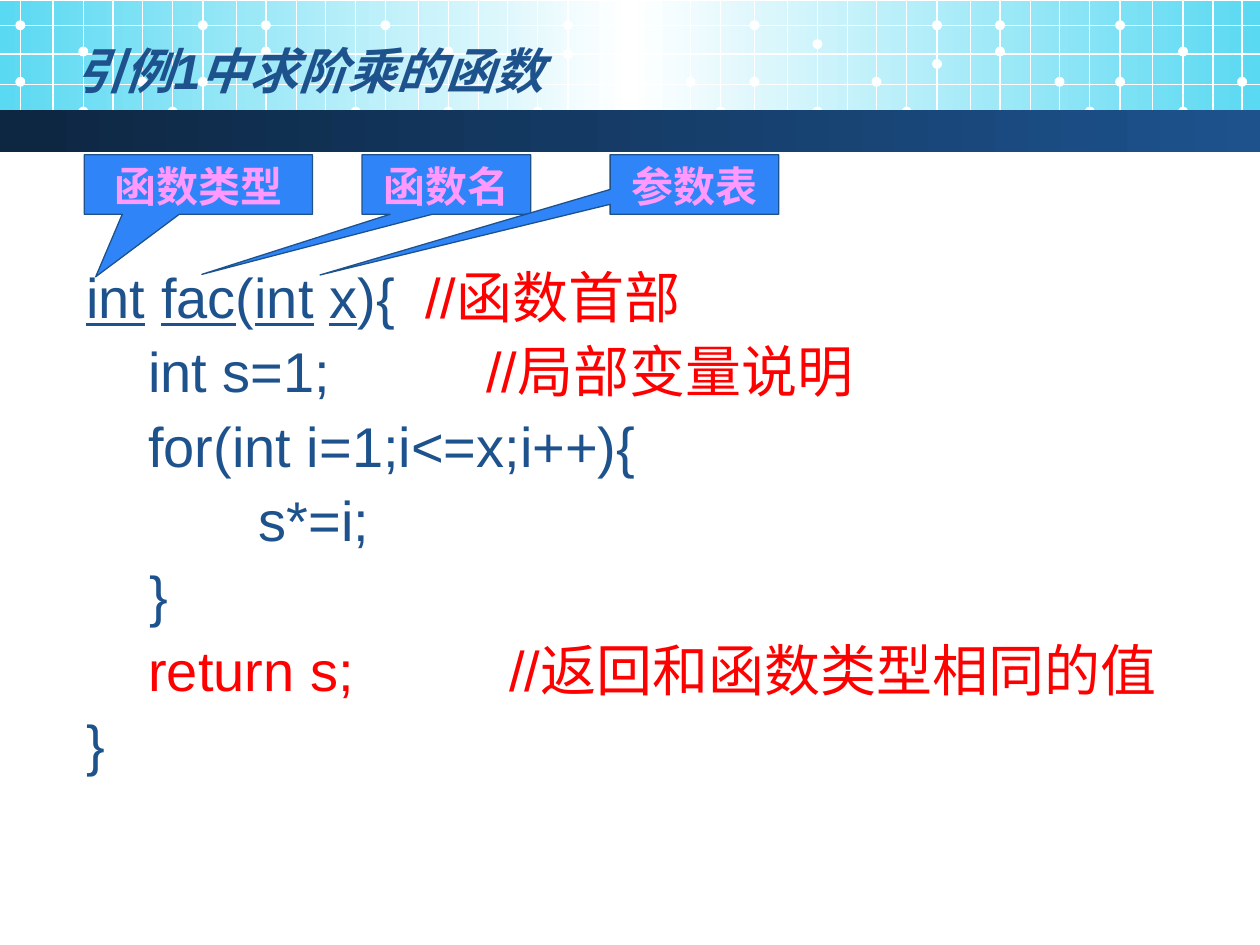
from copy import deepcopy

from lxml.etree import SubElement
from pptx import Presentation
from pptx.dml.color import RGBColor
from pptx.enum.shapes import MSO_CONNECTOR, MSO_SHAPE
from pptx.enum.text import MSO_ANCHOR, MSO_AUTO_SIZE, PP_ALIGN
from pptx.oxml.ns import qn
from pptx.util import Cm, Pt

NAVY, RED, WHITE, CYAN = "1D528D", "FF0000", "FFFFFF", "5AD9F2"

TILE_STARTS = [0.41, 7.77, 15.21, 22.58]
COLUMNS = [0, 0.66, 1.27, 1.87, 2.46, 3.07, 3.68, 4.36, 4.95, 5.56, 6.15, 6.76]
ROWS = [0.51, 1.09, 1.7, 2.26]
DOTS = {0: [0.41, 1.55], 2: [0.94, 2.15], 4: [1.55], 5: [2.15],
        6: [0.41, 1.55], 8: [0.41, 0.94], 10: [1.55], 11: [2.15]}
MOVED_DOTS = {(1, 6): [0.41, 0.99], (2, 6): [0.41, 1.19], (2, 2): [0.79, 2.15]}

INDENT_STOPS = [0.97, 3.48]
CODE = [
    ([("int", NAVY, True), (" ", NAVY, False), ("fac", NAVY, True), ("(", NAVY, False),
      ("int", NAVY, True), (" ", NAVY, False), ("x", NAVY, True), ("){", NAVY, False),
      ("\t//函数首部", RED, False)], 6.83),
    ([("    int s=1;", NAVY, False), ("\t//局部变量说明", RED, False)], 8.06),
    ([("    for(int i=1;i<=x;i++){", NAVY, False)], None),
    ([("\t\ts*=i;", NAVY, False)], None),
    ([("\t }", NAVY, False)], None),
    ([("    return s;\t//返回和函数类型相同的值", RED, False)], 8.53),
    ([("}", NAVY, False)], None),
]

CALLOUTS = [
    ("函数名", 7.3, 3.4, -1.45, 1.51),
    ("参数表", 12.3, 3.4, -2.22, 1.52),
    ("函数类型", 1.7, 4.6, -0.45, 1.55),
]


def rgb(color):
    return RGBColor.from_string(color)


def add_run(p, text, size=32, color=NAVY, bold=False, italic=False, underline=False):
    r = p.add_run()
    r.text = text
    f = r.font
    f.name, f.size = "Arial", Pt(size)
    f.bold, f.italic, f.underline = bold, italic, underline
    f.color.rgb = rgb(color)
    return r


class SlideBuilder:
    line_width = Pt(0.75)

    def __init__(self, slide):
        self.slide = slide
        self.shapes = slide.shapes

    def shape(self, kind, x, y, w, h, fill=None, line=None):
        sp = self.shapes.add_shape(kind, Cm(x), Cm(y), Cm(w), Cm(h))
        sp.shadow.inherit = False
        if fill:
            sp.fill.solid()
            sp.fill.fore_color.rgb = rgb(fill)
        if line:
            sp.line.color.rgb = rgb(line)
            sp.line.width = self.line_width
        else:
            sp.line.fill.background()
        return sp

    def gradient_bar(self, y, h, colors):
        sp = self.shape(MSO_SHAPE.RECTANGLE, 0, y, 25.4, h)
        sp.fill.gradient()
        sp.fill.gradient_angle = 0
        stops = sp.element.find(".//" + qn("a:gsLst"))
        while len(stops) < len(colors):
            stops.append(deepcopy(stops[-1]))
        for i, (stop, color) in enumerate(zip(sp.fill.gradient_stops, colors)):
            stop.position = i / (len(colors) - 1)
            stop.color.rgb = rgb(color)

    def line(self, x1, y1, x2, y2):
        c = self.shapes.add_connector(MSO_CONNECTOR.STRAIGHT, Cm(x1), Cm(y1), Cm(x2), Cm(y2))
        c.line.color.rgb = rgb(WHITE)
        c.line.width = self.line_width
        SubElement(c.element.spPr, qn("a:effectLst"))

    def lattice(self):
        for tile, start in enumerate(TILE_STARTS):
            for col, offset in enumerate(COLUMNS):
                x = start + offset
                if x > 25.4:
                    break
                self.line(x, 0, x, 2.8)
                for y in MOVED_DOTS.get((tile, col), DOTS.get(col, [])):
                    self.shape(MSO_SHAPE.OVAL, x - 0.1, y, 0.2, 0.2, WHITE)
        for y in ROWS:
            self.line(0, y, 25.4, y)

    def title(self, text):
        sp = self.shapes.title
        sp.left, sp.top, sp.width, sp.height = Cm(1.27), Cm(0.62), Cm(20.52), Cm(1.57)
        sp.element.getparent().append(sp.element)
        tf = sp.text_frame
        tf.auto_size = MSO_AUTO_SIZE.NONE
        tf.vertical_anchor = MSO_ANCHOR.MIDDLE
        p = tf.paragraphs[0]
        p.alignment = PP_ALIGN.LEFT
        add_run(p, text, size=28, bold=True, italic=True)

    def code(self, lines):
        sp = self.shapes.add_textbox(Cm(1.49), Cm(5.32), Cm(23.01), Cm(11.61))
        tf = sp.text_frame
        tf.word_wrap = True
        for i, (runs, comment_stop) in enumerate(lines):
            p = tf.add_paragraph() if i else tf.paragraphs[0]
            tabs = SubElement(p._p.get_or_add_pPr(), qn("a:tabLst"))
            for stop in INDENT_STOPS + ([comment_stop] if comment_stop else []):
                SubElement(tabs, qn("a:tab"), pos=str(int(Cm(stop))), algn="l")
            p.line_spacing = 0.9
            p.space_before = Pt(8 if i else 0)
            for text, color, underline in runs:
                add_run(p, text, color=color, underline=underline)

    def callout(self, text, x, w, tip_x, tip_y):
        sp = self.shape(MSO_SHAPE.RECTANGULAR_CALLOUT, x, 3.12, w, 1.2, "2F85F7", NAVY)
        sp.adjustments[0], sp.adjustments[1] = tip_x, tip_y
        tf = sp.text_frame
        tf.word_wrap = True
        tf.vertical_anchor = MSO_ANCHOR.TOP
        p = tf.paragraphs[0]
        p.alignment = PP_ALIGN.CENTER
        add_run(p, text, size=24, color="FF99FF", bold=True)


def main():
    prs = Presentation()
    prs.slide_width, prs.slide_height = Cm(25.4), Cm(19.05)
    s = SlideBuilder(prs.slides.add_slide(prs.slide_layouts[5]))
    s.gradient_bar(0.03, 2.59, [CYAN, WHITE, CYAN])
    s.lattice()
    s.gradient_bar(2.22, 0.84, ["0D2641", NAVY])
    s.title("引例1中求阶乘的函数")
    s.code(CODE)
    for callout in CALLOUTS:
        s.callout(*callout)
    prs.save("out.pptx")


if __name__ == "__main__":
    main()
